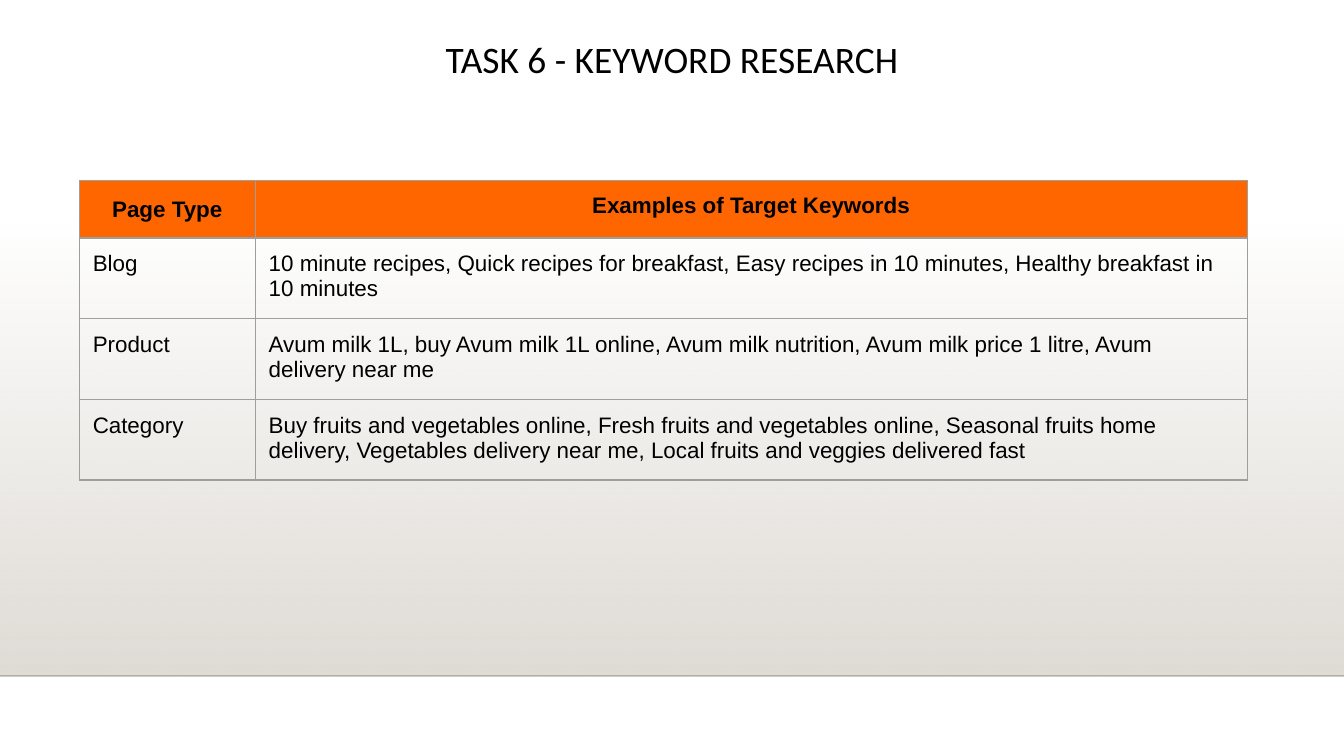
from pptx import Presentation
from pptx.dml.color import RGBColor
from pptx.enum.shapes import MSO_CONNECTOR, MSO_SHAPE
from pptx.enum.text import MSO_AUTO_SIZE, PP_ALIGN
from pptx.oxml.ns import qn
from pptx.util import Pt
from lxml import etree

LEFT, CENTER = PP_ALIGN.LEFT, PP_ALIGN.CENTER
STRAIGHT = MSO_CONNECTOR.STRAIGHT
RECTANGLE = MSO_SHAPE.RECTANGLE
FIT_SHAPE = MSO_AUTO_SIZE.SHAPE_TO_FIT_TEXT

COLORS = {
    "text": "000000",
    "header": "FF6600",
    "border": "9E9E9E",
    "haze": "DFDBD5",
    "floor": "000001",
}
SLIDE_WIDTH, SLIDE_HEIGHT = 720, 405
FLOOR_TOP = 362.2
HAZE_TOP = 119.5
CELL_MARGIN = 7.2
COLUMN_WIDTHS = [94.3, 531.4]
HEADER_HEIGHT, BODY_HEIGHT = 30.8, 43

KEYWORD_ROWS = [
    ("Page Type", "Examples of Target Keywords"),
    ("Blog", "10 minute recipes, Quick recipes for breakfast, Easy recipes in "
             "10 minutes, Healthy breakfast in 10 minutes"),
    ("Product", "Avum milk 1L, buy Avum milk 1L online, Avum milk nutrition, "
                "Avum milk price 1 litre, Avum delivery near me"),
    ("Category", "Buy fruits and vegetables online, Fresh fruits and vegetables "
                 "online, Seasonal fruits home delivery, Vegetables delivery "
                 "near me, Local fruits and veggies delivered fast"),
]


def color(name):
    return RGBColor.from_string(COLORS[name])


def set_alpha(color_element, percent):
    alpha = etree.SubElement(color_element, qn("a:alpha"))
    alpha.set("val", str(percent * 1000))


def write_text(paragraph, text, font, size, bold=False, align=LEFT):
    paragraph.alignment = align
    run = paragraph.add_run()
    run.text = text
    run.font.name = font
    run.font.size = Pt(size)
    run.font.bold = bold
    run.font.color.rgb = color("text")


def add_haze(slide):
    """Add the band that fades in from clear at its top edge."""
    shape = slide.shapes.add_shape(
        RECTANGLE, 0, Pt(HAZE_TOP), Pt(SLIDE_WIDTH), Pt(FLOOR_TOP - HAZE_TOP))
    shape.shadow.inherit = False
    shape.line.fill.background()
    shape.fill.gradient()
    shape.fill.gradient_angle = 270
    for stop, position in zip(shape.fill.gradient_stops, (0, 1)):
        stop.position = position
        stop.color.rgb = color("haze")
    first_color = next(shape._element.spPr.iter(qn("a:srgbClr")))
    set_alpha(first_color, 0)


def add_floor_line(slide):
    line = slide.shapes.add_connector(
        STRAIGHT, 0, Pt(FLOOR_TOP), Pt(SLIDE_WIDTH), Pt(FLOOR_TOP))
    line.line.width = Pt(1)
    line.line.color.rgb = color("floor")
    properties = line._element.spPr
    set_alpha(next(properties.iter(qn("a:srgbClr"))), 20)
    etree.SubElement(properties, qn("a:effectLst"))


def add_title(slide, text):
    box = slide.shapes.add_textbox(0, Pt(10), Pt(SLIDE_WIDTH), Pt(30.2))
    frame = box.text_frame
    frame.word_wrap = True
    frame.auto_size = FIT_SHAPE
    frame.margin_left = frame.margin_right = 0
    frame.margin_top = frame.margin_bottom = 0
    paragraph = frame.paragraphs[0]
    paragraph.line_spacing = 1.4
    write_text(paragraph, text, "Calibri", 20, align=CENTER)


def set_borders(cell):
    properties = cell._tc.get_or_add_tcPr()
    for side in ("a:lnL", "a:lnR", "a:lnT", "a:lnB"):
        border = etree.SubElement(properties, qn(side), w=str(Pt(0.75)))
        fill = etree.SubElement(border, qn("a:solidFill"))
        etree.SubElement(fill, qn("a:srgbClr"), val=COLORS["border"])


def fill_cell(cell, text, is_header):
    cell.margin_left = cell.margin_right = Pt(CELL_MARGIN)
    cell.margin_top = cell.margin_bottom = Pt(CELL_MARGIN)
    set_borders(cell)
    if is_header:
        cell.fill.solid()
        cell.fill.fore_color.rgb = color("header")
    else:
        cell.fill.background()
    write_text(cell.text_frame.paragraphs[0], text, "Arial", 12,
               bold=is_header, align=CENTER if is_header else LEFT)


def add_keyword_table(slide, rows):
    heights = [HEADER_HEIGHT] + [BODY_HEIGHT] * (len(rows) - 1)
    table = slide.shapes.add_table(
        len(rows), len(COLUMN_WIDTHS), Pt(42.5), Pt(96.5),
        Pt(sum(COLUMN_WIDTHS)), Pt(sum(heights))).table
    table.first_row = False
    table.horz_banding = False
    for column, width in zip(table.columns, COLUMN_WIDTHS):
        column.width = Pt(width)
    for row_index, (texts, height) in enumerate(zip(rows, heights)):
        table.rows[row_index].height = Pt(height)
        for column_index, text in enumerate(texts):
            fill_cell(table.cell(row_index, column_index), text, row_index == 0)
    table.cell(0, 0).text_frame.paragraphs[0].line_spacing = 1.15


def main():
    presentation = Presentation()
    presentation.slide_width = Pt(SLIDE_WIDTH)
    presentation.slide_height = Pt(SLIDE_HEIGHT)
    slide = presentation.slides.add_slide(presentation.slide_layouts[6])
    add_haze(slide)
    add_floor_line(slide)
    add_title(slide, "TASK 6 - KEYWORD RESEARCH")
    add_keyword_table(slide, KEYWORD_ROWS)
    presentation.save("out.pptx")


if __name__ == "__main__":
    main()
